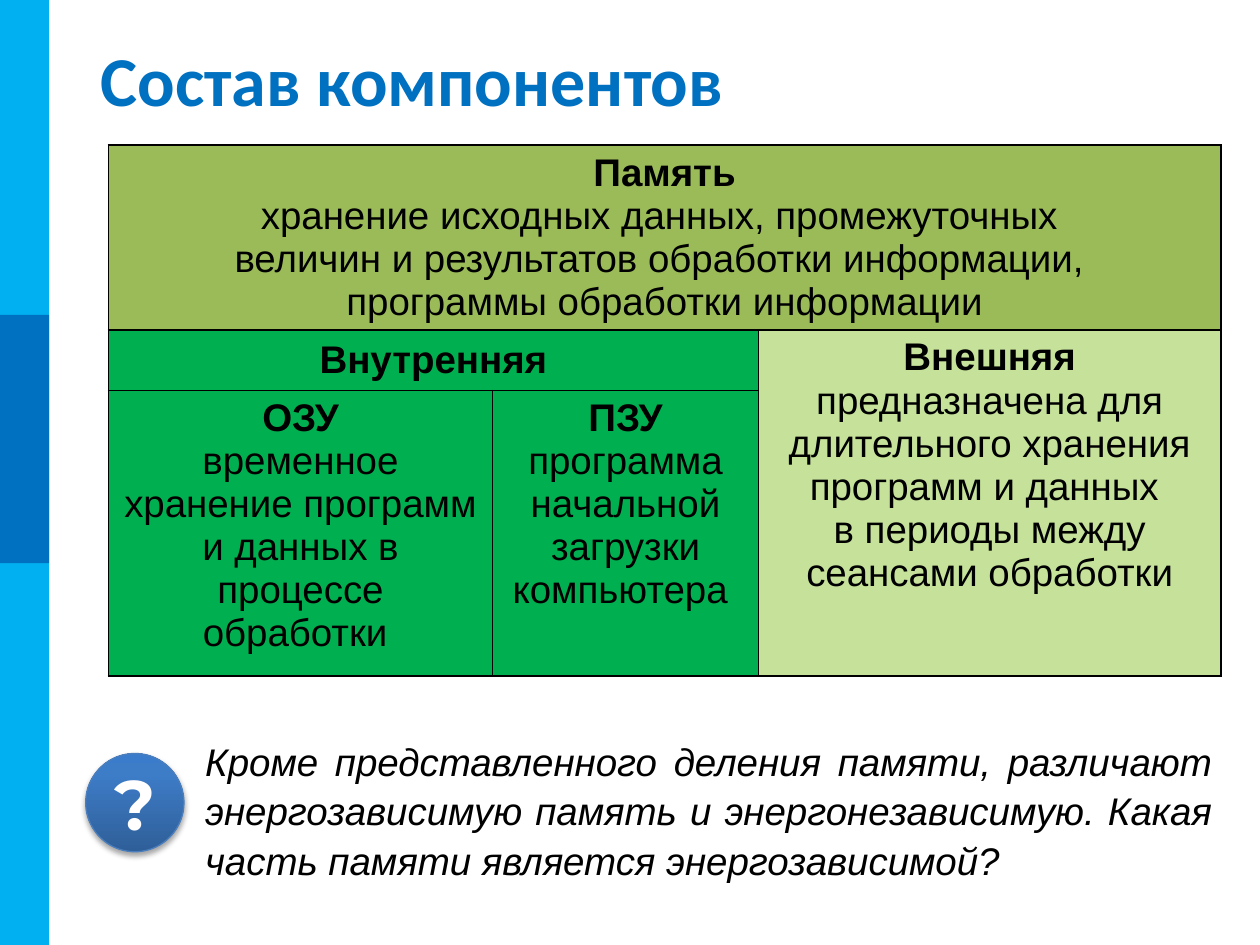
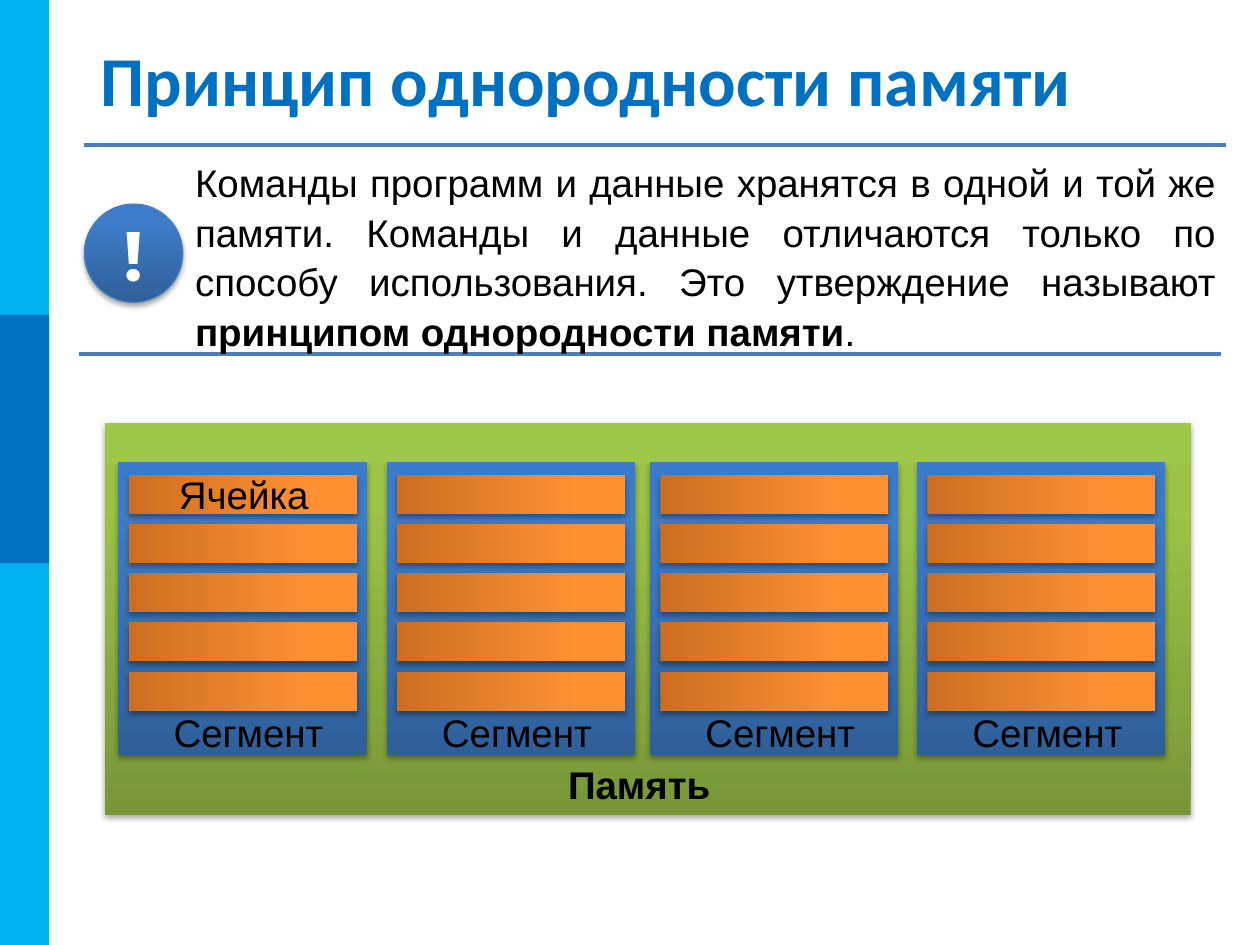
import pptx
import pptx.dml.color
import pptx.enum.shapes
import pptx.enum.text
import pptx.oxml
import pptx.oxml.ns
import pptx.util

Inches = pptx.util.Inches
Pt = pptx.util.Pt
RGBColor = pptx.dml.color.RGBColor
Preset = pptx.enum.shapes.MSO_SHAPE
Align = pptx.enum.text.PP_ALIGN
Anchor = pptx.enum.text.MSO_ANCHOR

COLORS = {
    "band": "00B0F0", "title": "0070C0", "line": "4B7EBC", "text": "000000",
    "white": "FFFFFF", "memory": "9BBB59", "internal": "00B050", "external": "C5E19A",
}
GRADIENTS = {
    "blue": {0: "2F5F99", 80: "3D7CC7", 100: "3A7CCB"},
    "green": {0: "779737", 80: "9BC348", 100: "9DC746"},
    "orange": {0: "CC6E20", 80: "FF9034", 100: "FF9136"},
}
NAMESPACE = pptx.oxml.ns.nsdecls("a")
SHADOW = (
    f'<a:effectLst {NAMESPACE}><a:outerShdw blurRad="40000" dist="23000" dir="5400000" '
    'rotWithShape="0"><a:srgbClr val="000000"><a:alpha val="35000"/></a:srgbClr>'
    "</a:outerShdw></a:effectLst>"
)
BODY = {"name": "Arial", "size": Pt(22), "bold": False, "italic": False}
BOLD = {"bold": True}
TITLE = {"name": "Calibri", "size": Pt(40), "bold": True}
BADGE = {"name": "Montserrat", "size": Pt(40), "bold": True}


def write_text(frame, paragraphs, alignment=Align.LEFT, color="text", spacing=1.0):
    frame.word_wrap = True
    for index, runs in enumerate(paragraphs):
        paragraph = frame.paragraphs[0] if index == 0 else frame.add_paragraph()
        paragraph.alignment = alignment
        paragraph.line_spacing = spacing
        for text, changes in runs:
            for number, line in enumerate(text.split("\n")):
                if number:
                    paragraph.add_line_break()
                run = paragraph.add_run()
                run.text = line
                run.font.color.rgb = RGBColor.from_string(COLORS[color])
                for name, value in {**BODY, **changes}.items():
                    setattr(run.font, name, value)


def add_glossy(slide, preset, box, gradient):
    shape = slide.shapes.add_shape(preset, *map(Inches, box))
    shape.line.fill.background()
    stops = "".join(
        f'<a:gs pos="{position * 1000}"><a:srgbClr val="{color}"/></a:gs>'
        for position, color in GRADIENTS[gradient].items()
    )
    properties = shape.element.spPr
    properties.find(pptx.oxml.ns.qn("a:prstGeom")).addnext(pptx.oxml.parse_xml(
        f'<a:gradFill {NAMESPACE} rotWithShape="1"><a:gsLst>{stops}</a:gsLst>'
        '<a:lin ang="16200000" scaled="0"/></a:gradFill>'
    ))
    properties.append(pptx.oxml.parse_xml(SHADOW))
    return shape


presentation = pptx.Presentation()
presentation.slide_width = Inches(10)
presentation.slide_height = Inches(7.5)
layout = presentation.slide_layouts[5]

slides = []
for title, mark, badge_left, badge_top in [
    ("Состав компонентов", "?", 0.68, 5.98),
    ("Принцип однородности памяти", "!", 0.67, 1.62),
]:
    slide = presentation.slides.add_slide(layout)
    slides.append(slide)
    placeholder = slide.shapes.title
    for name, value in {"left": 0.7, "top": 0.3, "width": 9.02, "height": 0.64}.items():
        setattr(placeholder, name, Inches(value))
    placeholder.text_frame.auto_size = pptx.enum.text.MSO_AUTO_SIZE.NONE
    placeholder.text_frame.vertical_anchor = Anchor.MIDDLE
    write_text(placeholder.text_frame, [[(title, TITLE)]], color="title")

    badge = add_glossy(slide, Preset.OVAL, (badge_left, badge_top, 0.78, 0.78), "blue")
    badge.line.color.rgb = RGBColor.from_string(COLORS["line"])
    badge.line.width = Pt(0.75)
    for side in ("left", "right", "top", "bottom"):
        setattr(badge.text_frame, f"margin_{side}", 0)
    badge.text_frame.vertical_anchor = Anchor.MIDDLE
    write_text(badge.text_frame, [[(mark, BADGE)]], Align.CENTER, "white")

components, uniformity = slides

for top, height, color in [(0, 7.5, "band"), (2.5, 1.97, "title")]:
    band = components.shapes.add_shape(Preset.RECTANGLE, 0, Inches(top), Inches(0.39), Inches(height))
    band.shadow.inherit = False
    band.fill.solid()
    band.fill.fore_color.rgb = RGBColor.from_string(COLORS[color])
    band.line.fill.background()
    layout.shapes.element.append(band.element)

table = components.shapes.add_table(
    3, 3, Inches(0.86), Inches(1.15), Inches(8.83), Inches(4.18)
).table
for column, width in zip(table.columns, (3.05, 2.11, 3.67)):
    column.width = Inches(width)
for row, height in zip(table.rows, (1.43, 0.48, 2.27)):
    row.height = Inches(height)

fills = [["memory"] * 3] + [["internal", "internal", "external"]] * 2
for row, colors in enumerate(fills):
    for column, color in enumerate(colors):
        cell = table.cell(row, column)
        cell.fill.solid()
        cell.fill.fore_color.rgb = RGBColor.from_string(COLORS[color])
        for index, edge in enumerate(("lnL", "lnR", "lnT", "lnB")):
            cell._tc.get_or_add_tcPr().insert(index, pptx.oxml.parse_xml(
                f'<a:{edge} {NAMESPACE} w="12700"><a:solidFill>'
                f'<a:srgbClr val="{COLORS["text"]}"/></a:solidFill></a:{edge}>'
            ))

for start, end in [((0, 0), (0, 2)), ((1, 0), (1, 1)), ((1, 2), (2, 2))]:
    table.cell(*start).merge(table.cell(*end))

for row, column, anchor, heading, description in [
    (0, 0, Anchor.MIDDLE, "Память",
     "хранение исходных данных, промежуточных \n"
     "величин и результатов обработки информации, \n"
     "программы обработки информации"),
    (1, 0, Anchor.MIDDLE, "Внутренняя", ""),
    (1, 2, Anchor.TOP, "Внешняя",
     "предназначена для длительного хранения программ и данных \n"
     "в периоды между сеансами обработки"),
    (2, 0, Anchor.TOP, "ОЗУ", "временное хранение программ и данных в процессе обработки "),
    (2, 1, Anchor.TOP, "ПЗУ", "программа начальной загрузки компьютера "),
]:
    cell = table.cell(row, column)
    cell.vertical_anchor = anchor
    paragraphs = [[(heading, BOLD)]]
    if description:
        paragraphs.append([(description, {})])
    write_text(cell.text_frame, paragraphs, Align.CENTER)

question = components.shapes.add_textbox(Inches(1.53), Inches(5.78), Inches(8.19), Inches(1.18))
write_text(question.text_frame, [[(
    "Кроме представленного деления памяти, различают энергозависимую память "
    "и энергонезависимую. Какая часть памяти является энергозависимой?",
    {"italic": True},
)]], Align.JUSTIFY, spacing=1.07)

for left, top in [(0.67, 1.15), (0.63, 2.81)]:
    rule = uniformity.shapes.add_connector(
        pptx.enum.shapes.MSO_CONNECTOR.STRAIGHT,
        Inches(left), Inches(top), Inches(left + 9.06), Inches(top),
    )
    rule.line.color.rgb = RGBColor.from_string(COLORS["line"])
    rule.line.width = Pt(2.25)
    rule.element.spPr.append(pptx.oxml.parse_xml(f"<a:effectLst {NAMESPACE}/>"))

principle = uniformity.shapes.add_textbox(Inches(1.45), Inches(1.19), Inches(8.3), Inches(1.97))
write_text(principle.text_frame, [[
    ("Команды программ и данные хранятся в одной и той же памяти. Команды и данные "
     "отличаются только по способу использования. Это утверждение называют ", {}),
    ("принципом однородности памяти", BOLD),
    (".", {}),
]], Align.JUSTIFY, spacing=1.07)

add_glossy(uniformity, Preset.RECTANGLE, (0.83, 3.36, 8.62, 3.11), "green")
labels = [
    ("Память", 4.41, 5.99, 1.68, Align.LEFT, BOLD),
    ("Ячейка", 1.03, 3.69, 1.81, Align.CENTER, {}),
]
for segment_left in (0.94, 3.07, 5.16, 7.28):
    add_glossy(uniformity, Preset.RECTANGLE, (segment_left, 3.67, 1.97, 2.32), "blue")
    for index in range(5):
        memory_cell = add_glossy(
            uniformity, Preset.RECTANGLE,
            (segment_left + 0.83, 3.02 + 0.39 * index, 0.31, 1.81), "orange",
        )
        memory_cell.rotation = 90
    labels.append(("Сегмент", segment_left + 0.34, 5.58, 1.5, Align.LEFT, {}))

for text, left, top, width, alignment, changes in labels:
    label = uniformity.shapes.add_textbox(Inches(left), Inches(top), Inches(width), Inches(0.47))
    write_text(label.text_frame, [[(text, changes)]], alignment)

presentation.save("out.pptx")
